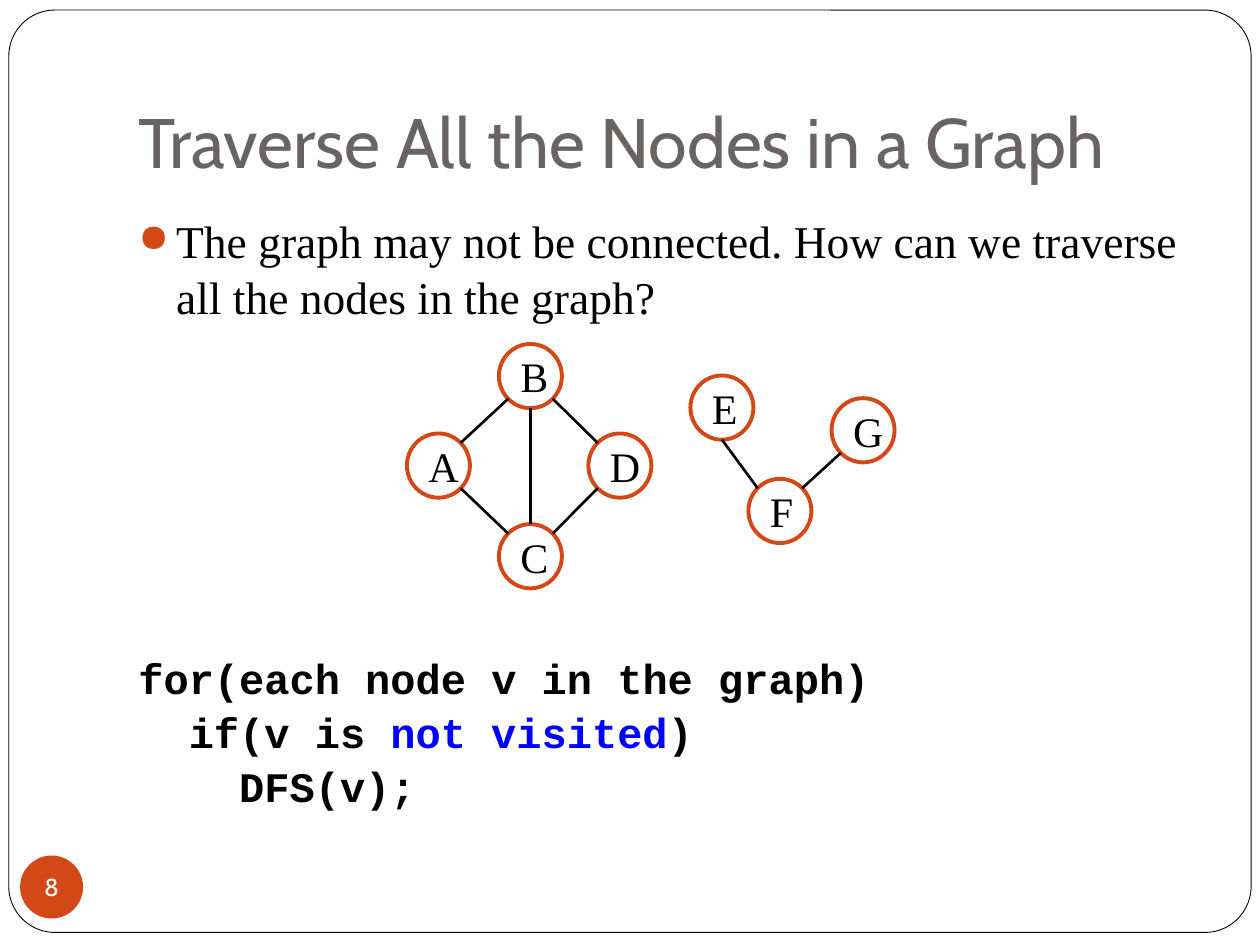
from math import cos, radians, sin
from typing import NamedTuple

from lxml.etree import SubElement
from pptx import Presentation
from pptx.dml.color import RGBColor
from pptx.enum.shapes import MSO_CONNECTOR as Connector, MSO_SHAPE as Shape
from pptx.enum.text import MSO_ANCHOR as Anchor, PP_ALIGN as Align
from pptx.oxml.ns import qn
from pptx.util import Inches, Pt

COLORS = {"white": "FFFFFF", "black": "000000", "title": "696464",
          "accent": "D34817", "highlight": "0000FF"}
SERIF, SANS, MONO = "Times New Roman", "Cabin", "Courier New"
NODE_WIDTH, NODE_HEIGHT = 0.5, 0.51


class Node(NamedTuple):
    left: float
    top: float

    def rim(self, angle: float) -> tuple[float, float]:
        """Point on the outline, with the angle clockwise from the right."""
        return (self.left + NODE_WIDTH / 2 * (1 + cos(radians(angle))),
                self.top + NODE_HEIGHT / 2 * (1 + sin(radians(angle))))


class Edge(NamedTuple):
    start: str
    start_angle: float
    end: str
    end_angle: float


NODES = {"A": Node(3.23, 3.44), "B": Node(3.96, 2.73), "C": Node(3.96, 4.16),
         "D": Node(4.67, 3.44), "E": Node(5.48, 2.98), "F": Node(5.94, 3.8),
         "G": Node(6.6, 3.16)}
EDGES = [Edge("A", -45, "B", 135), Edge("D", -135, "B", 45),
         Edge("C", -135, "A", 45), Edge("C", -45, "D", 135),
         Edge("C", -90, "B", 90), Edge("F", -135, "E", 90),
         Edge("F", -45, "G", 135)]
CODE = [[("for(each node v in the graph)", "black")],
        [("  if(v is ", "black"), ("not visited", "highlight"), (")", "black")],
        [("    DFS(v);", "black")]]


def color(name: str) -> RGBColor:
    return RGBColor.from_string(COLORS[name])


def add_run(paragraph, text: str, *, font: str, size: float,
            fill: str = "black", bold: bool = False) -> None:
    run = paragraph.add_run()
    run.text = text
    run.font.name, run.font.size, run.font.bold = font, Pt(size), bold
    run.font.color.rgb = color(fill)


def add_box(slide, left: float, top: float, width: float, height: float):
    frame = slide.shapes.add_textbox(Inches(left), Inches(top),
                                     Inches(width), Inches(height)).text_frame
    frame.word_wrap = True
    return frame


def add_outline(slide, kind, left: float, top: float, width: float, height: float,
                *, fill: str | None = None, line: str | None = None,
                weight: float = 1):
    shape = slide.shapes.add_shape(kind, Inches(left), Inches(top),
                                   Inches(width), Inches(height))
    shape.shadow.inherit = False
    if fill:
        shape.fill.solid()
        shape.fill.fore_color.rgb = color(fill)
    else:
        shape.fill.background()
    if line:
        shape.line.color.rgb = color(line)
        shape.line.width = Pt(weight)
    else:
        shape.line.fill.background()
    return shape


def add_label(shape, text: str, **style) -> None:
    shape.text_frame.vertical_anchor = Anchor.MIDDLE
    paragraph = shape.text_frame.paragraphs[0]
    paragraph.alignment = Align.CENTER
    add_run(paragraph, text, **style)


def add_bullet(paragraph) -> None:
    properties = paragraph._p.get_or_add_pPr()
    properties.set("marL", str(Inches(0.3)))
    properties.set("indent", str(Inches(-0.3)))
    bullet_color = SubElement(properties, qn("a:buClr"))
    SubElement(bullet_color, qn("a:srgbClr"), val=COLORS["accent"])
    SubElement(properties, qn("a:buSzPct"), val="85000")
    SubElement(properties, qn("a:buChar"), char="●")


def add_edge(slide, edge: Edge) -> None:
    points = (*NODES[edge.start].rim(edge.start_angle),
              *NODES[edge.end].rim(edge.end_angle))
    connector = slide.shapes.add_connector(Connector.STRAIGHT, *map(Inches, points))
    connector.line.color.rgb = color("black")
    connector.line.width = Pt(1.5)
    SubElement(connector._element.spPr, qn("a:effectLst"))


def main() -> None:
    presentation = Presentation()
    presentation.slide_width, presentation.slide_height = Inches(10), Inches(7.5)
    slide = presentation.slides.add_slide(presentation.slide_layouts[6])

    # Frame
    frame = add_outline(slide, Shape.ROUNDED_RECTANGLE, 0.07, 0.08, 9.86, 7.32,
                        fill="white", line="black", weight=0.5)
    frame.adjustments[0] = 0.05

    # Title
    title = add_box(slide, 1, 0.3, 8.5, 1.25)
    title.vertical_anchor = Anchor.BOTTOM
    title.margin_bottom = Inches(0.1)
    add_run(title.paragraphs[0], "Traverse All the Nodes in a Graph",
            font=SANS, size=40, fill="title")

    # Slide number
    badge = add_outline(slide, Shape.OVAL, 0.16, 6.79, 0.5, 0.5, fill="accent")
    text = badge.text_frame
    text.margin_left = text.margin_right = text.margin_top = text.margin_bottom = 0
    text.word_wrap = False
    add_label(badge, "8", font=SANS, size=14, fill="white")

    # Question
    question = add_box(slide, 1, 1.63, 8.5, 1).paragraphs[0]
    question.line_spacing = 1.03
    add_bullet(question)
    add_run(question, "The graph may not be connected. How can we traverse "
            "all the nodes in the graph?", font=SERIF, size=26)

    # Code
    code = add_box(slide, 1, 5.1, 8.5, 1.4)
    for index, line in enumerate(CODE):
        paragraph = code.add_paragraph() if index else code.paragraphs[0]
        paragraph.line_spacing = 1.07
        for part, fill in line:
            add_run(paragraph, part, font=MONO, size=24, fill=fill, bold=True)

    # Graph
    for name, node in NODES.items():
        circle = add_outline(slide, Shape.OVAL, node.left, node.top, NODE_WIDTH,
                             NODE_HEIGHT, line="accent", weight=2.25)
        add_label(circle, name, font=SERIF, size=24)
    for edge in EDGES:
        add_edge(slide, edge)

    presentation.save("out.pptx")


if __name__ == "__main__":
    main()
